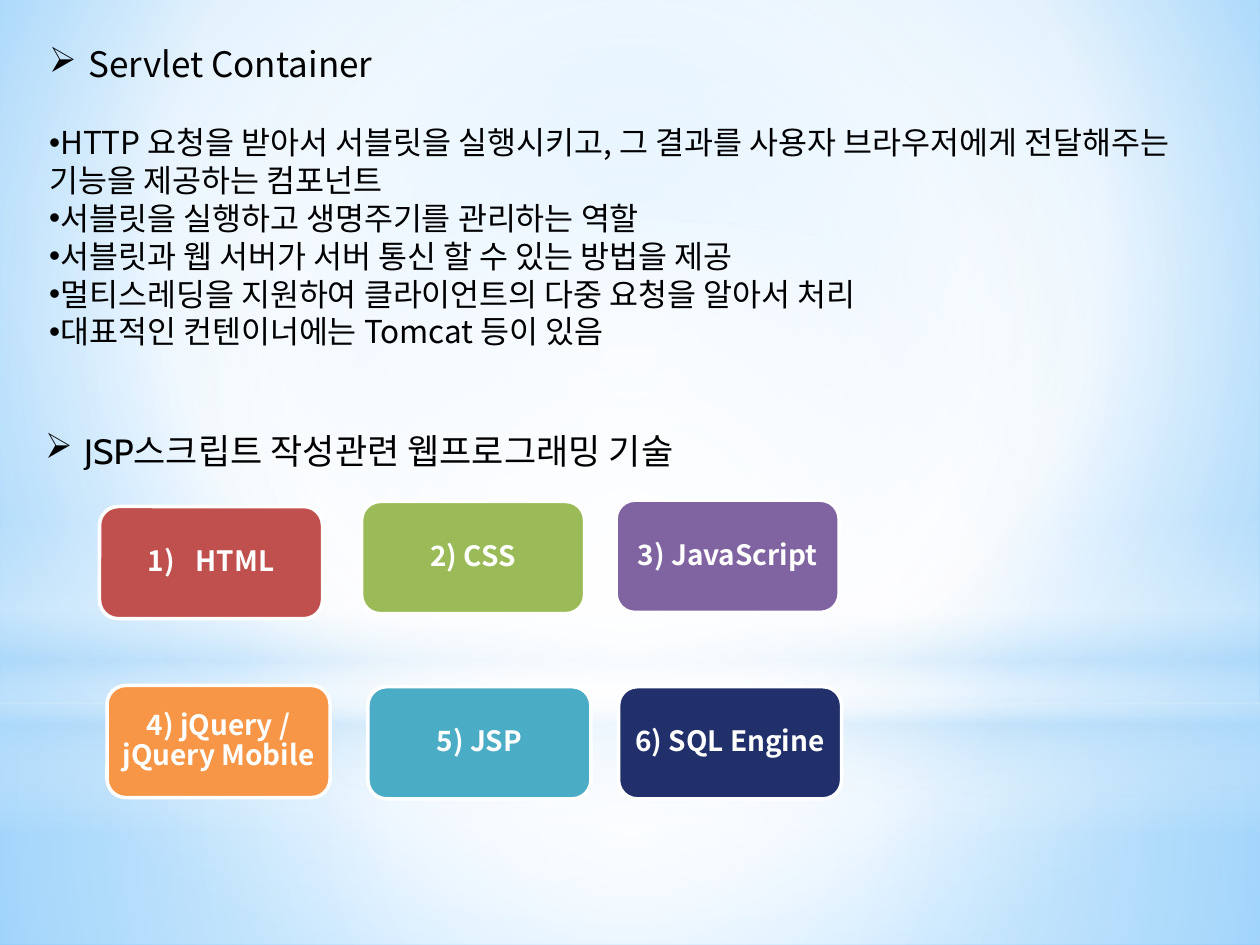
import lxml.etree
import pptx
import pptx.dml.color
import pptx.enum.shapes
import pptx.enum.text
import pptx.oxml
import pptx.oxml.ns
import pptx.util

Inches = pptx.util.Inches
NAMESPACE = pptx.oxml.ns.nsdecls("a")
SHAPES = pptx.enum.shapes.MSO_SHAPE
ANCHOR = pptx.enum.text.MSO_ANCHOR
ALIGN = pptx.enum.text.PP_ALIGN
KOREAN = "Noto Sans CJK KR"
CENTRE = (50, 50, 50, 50)


def color(value):
    """Turn a hex string into a colour."""
    return pptx.dml.color.RGBColor.from_string(value)


def gradient(stops, focus=None, angle=90):
    """Return a gradient fill of (position, colour, opacity) stops."""
    stop_xml = "".join(
        f'<a:gs pos="{position * 1000}"><a:srgbClr val="{value}">'
        f'<a:alpha val="{opacity * 1000}"/></a:srgbClr></a:gs>'
        for position, value, opacity in stops)
    if focus:
        left, top, right, bottom = (side * 1000 for side in focus)
        direction = (f'<a:path path="circle"><a:fillToRect l="{left}" t="{top}" '
                     f'r="{right}" b="{bottom}"/></a:path>')
    else:
        direction = f'<a:lin ang="{angle * 60000}" scaled="0"/>'
    return pptx.oxml.parse_xml(
        f'<a:gradFill {NAMESPACE} rotWithShape="1"><a:gsLst>{stop_xml}</a:gsLst>'
        f'{direction}</a:gradFill>')


def replace_fill(fill_format, parent, fill):
    """Swap a solid fill for the given fill element."""
    fill_format.solid()
    solid = parent.find(pptx.oxml.ns.qn("a:solidFill"))
    parent.replace(solid, fill)


def add_backdrop(slide):
    """Fill the background and lay the soft glows over it."""
    background = slide.background.fill
    background.solid()
    properties = slide.element.find(".//" + pptx.oxml.ns.qn("p:bgPr"))
    replace_fill(background, properties, gradient(
        [(0, "9ED5FF", 100), (60, "FFFFFF", 100), (100, "5BB9FF", 100)],
        (20, 10, 20, 60)))
    glows = [
        (SHAPES.RECTANGLE, 5.58, 1.92, CENTRE,
         [(0, "FFFFFF", 91), (37, "FFFFFF", 76), (100, "B4DCFA", 79)]),
        (SHAPES.RECTANGLE, 0, 5.58, CENTRE,
         [(0, "FFFFFF", 89), (48, "FFFFFF", 62), (100, "B4DCFA", 79)]),
        (SHAPES.RECTANGLE, 4.12, 2.5, None,
         [(0, "FFFFFF", 0), (29, "FFFFFF", 30), (45, "B4DCFA", 40),
          (55, "FFFFFF", 26), (65, "B4DCFA", 60), (100, "FFFFFF", 0)]),
        (SHAPES.OVAL, 1.75, 5.58, CENTRE,
         [(0, "FFFFFF", 100), (56, "FFFFFF", 0)]),
    ]
    for kind, top, height, focus, stops in glows:
        shape = slide.shapes.add_shape(
            kind, 0, Inches(top), Inches(10), Inches(height))
        shape.shadow.inherit = False
        shape.line.fill.background()
        replace_fill(shape.fill, shape.element.spPr, gradient(stops, focus))


def set_bullet(paragraph, tag, indent=0, **attributes):
    """Give a paragraph a bullet with a hanging indent in inches."""
    properties = paragraph._p.get_or_add_pPr()
    properties.set("marL", str(Inches(indent)))
    properties.set("indent", str(-Inches(indent)))
    bullet = lxml.etree.SubElement(properties, pptx.oxml.ns.qn(tag))
    for name, value in attributes.items():
        bullet.set(name, value)


def set_font(paragraph, size, value="000000", name=KOREAN, bold=False):
    """Format a whole paragraph."""
    font = paragraph.font
    font.size = pptx.util.Pt(size)
    font.name = name
    font.bold = bold
    font.color.rgb = color(value)
    east_asian = pptx.oxml.parse_xml(f'<a:ea {NAMESPACE} typeface="{KOREAN}"/>')
    font._element.find(pptx.oxml.ns.qn("a:latin")).addnext(east_asian)


def place(shape, left, top, width, height):
    """Move and size a shape, in inches."""
    shape.left, shape.top = Inches(left), Inches(top)
    shape.width, shape.height = Inches(width), Inches(height)


def format_heading(shape, text, name):
    """Write an arrow-bulleted heading into a shape."""
    frame = shape.text_frame
    frame.auto_size = pptx.enum.text.MSO_AUTO_SIZE.NONE
    frame.vertical_anchor = ANCHOR.TOP
    frame.text = text
    paragraph = frame.paragraphs[0]
    paragraph.alignment = ALIGN.LEFT
    set_bullet(paragraph, "a:buChar", 0.31, char="➢")
    set_font(paragraph, 20, name=name)


def add_container_section(slide, left, top, width):
    """Fill the title and body with the servlet container points."""
    title, body = slide.shapes.title, slide.placeholders[1]
    for placeholder in (title, body):
        placeholder.element.getparent().append(placeholder.element)
    place(title, left, top, width, 0.44)
    format_heading(title, "Servlet Container", KOREAN)
    place(body, left, top + 0.64, width, 1.92)
    frame = body.text_frame
    frame.auto_size = pptx.enum.text.MSO_AUTO_SIZE.NONE
    frame.text = "\n".join([
        "HTTP 요청을 받아서 서블릿을 실행시키고, 그 결과를 사용자 브라우저에게 "
        "전달해주는 기능을 제공하는 컴포넌트",
        "서블릿을 실행하고 생명주기를 관리하는 역할",
        "서블릿과 웹 서버가 서버 통신 할 수 있는 방법을 제공",
        "멀티스레딩을 지원하여 클라이언트의 다중 요청을 알아서 처리",
        "대표적인 컨텐이너에는 Tomcat 등이 있음",
    ])
    for paragraph in frame.paragraphs:
        paragraph.space_before = pptx.util.Pt(0)
        set_bullet(paragraph, "a:buChar", char="•")
        set_font(paragraph, 18)


def add_card(slide, left, top, text, fill, numbered=False):
    """Add one rounded technology card."""
    card = slide.shapes.add_shape(
        SHAPES.ROUNDED_RECTANGLE, Inches(left), Inches(top),
        Inches(1.77), Inches(0.89))
    card.shadow.inherit = False
    card.fill.solid()
    card.fill.fore_color.rgb = color(fill)
    card.line.color.rgb = color("FFFFFF")
    card.line.width = pptx.util.Pt(2)
    frame = card.text_frame
    frame.word_wrap = True
    frame.vertical_anchor = ANCHOR.MIDDLE
    frame.margin_left = frame.margin_right = Inches(0.07)
    frame.text = text
    paragraph = frame.paragraphs[0]
    paragraph.alignment = ALIGN.CENTER
    paragraph.line_spacing = 0.9
    if numbered:
        set_bullet(paragraph, "a:buFont", 0.38, typeface="+mj-lt")
        set_bullet(paragraph, "a:buAutoNum", 0.38, type="arabicParenR")
    set_font(paragraph, 16, "FFFFFF", bold=True)


def add_technology_section(slide, left, top):
    """Add the second heading and its six cards."""
    heading = slide.shapes.add_textbox(
        Inches(left), Inches(top), Inches(5.68), Inches(0.44))
    format_heading(heading, "JSP스크립트 작성관련 웹프로그래밍 기술", "Cabin")
    heading.text_frame.word_wrap = False
    cards = [
        (0.53, 0.66, "HTML", "C0504D", True),
        (2.61, 0.62, "2) CSS", "9BBB59"),
        (4.63, 0.61, "3) JavaScript", "8064A2"),
        (0.59, 2.08, "4) jQuery / jQuery Mobile", "F79646"),
        (2.66, 2.09, "5) JSP", "4BACC6"),
        (4.65, 2.09, "6) SQL Engine", "21306A"),
    ]
    for across, down, *details in cards:
        add_card(slide, left + across, top + down, *details)


def main():
    """Build the slide and save it."""
    presentation = pptx.Presentation()
    presentation.slide_width = Inches(10)
    presentation.slide_height = Inches(7.5)
    slide = presentation.slides.add_slide(presentation.slide_layouts[1])
    add_backdrop(slide)
    add_container_section(slide, 0.29, 0.29, 9.43)
    add_technology_section(slide, 0.26, 3.36)
    presentation.save("out.pptx")


if __name__ == "__main__":
    main()
